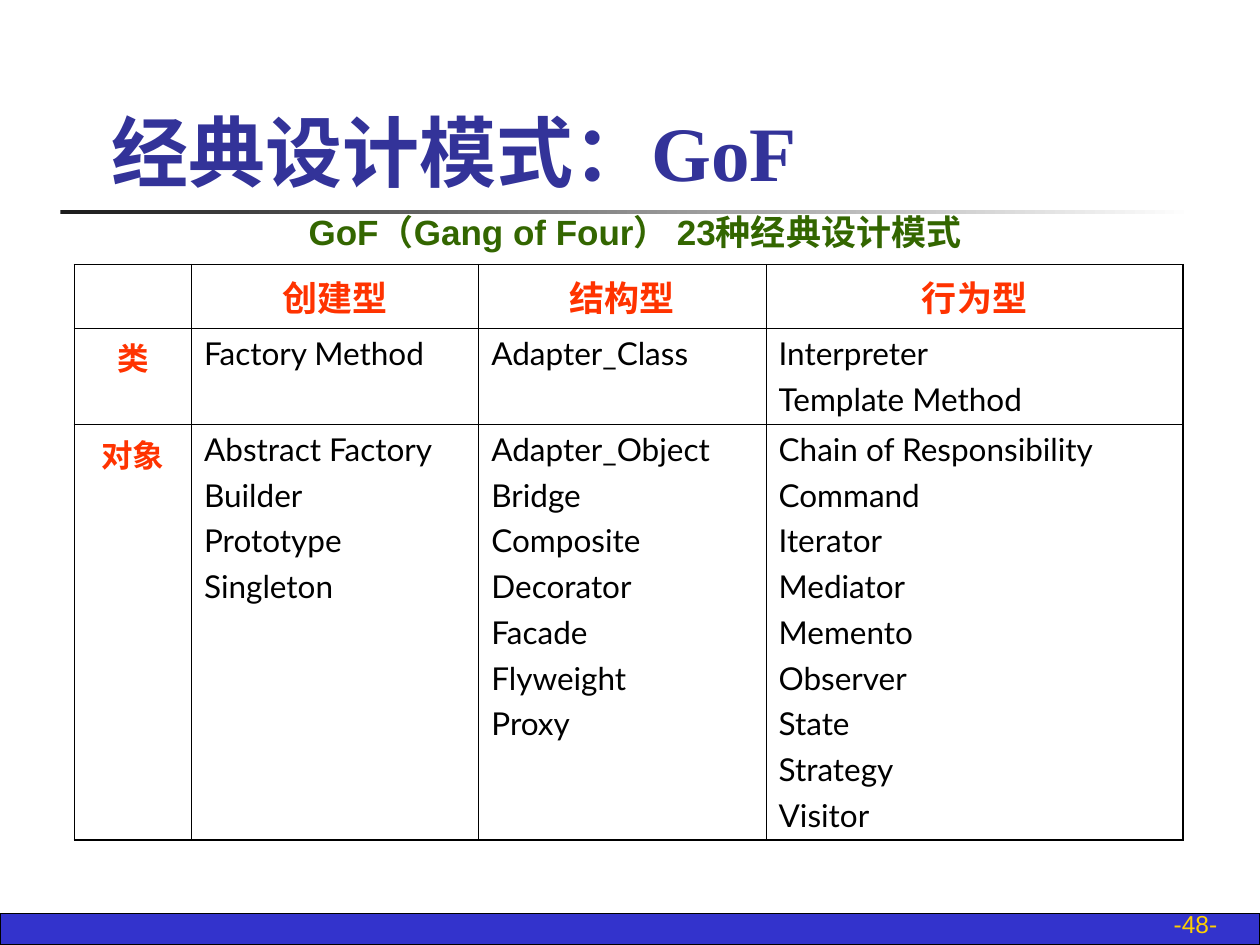
import dataclasses
import typing

import lxml.etree
import pptx
import pptx.dml.color
import pptx.enum.dml
import pptx.enum.shapes
import pptx.enum.text
import pptx.oxml.ns
import pptx.util

Inches = pptx.util.Inches
Pt = pptx.util.Pt
Align = pptx.enum.text.PP_ALIGN
Anchor = pptx.enum.text.MSO_ANCHOR


@dataclasses.dataclass(frozen=True)
class Theme:
    white: str = "FFFFFF"
    black: str = "000000"
    footer: str = "3333CC"
    rule: str = "1C1C1C"
    page_number: str = "FFCF01"
    title: str = "333399"
    subtitle: str = "336600"
    heading: str = "FF3300"
    title_size: float = 44
    heading_size: float = 20
    body_size: float = 18
    number_size: float = 14
    outer_line: float = 1.08
    inner_line: float = 0.45


THEME = Theme()


class Box(typing.NamedTuple):
    left: float
    top: float
    width: float
    height: float

    def lengths(self) -> list[int]:
        return [Inches(value) for value in self]


@dataclasses.dataclass(frozen=True)
class Style:
    font: str
    size: float
    color: str
    bold: bool = False
    align: Align = Align.LEFT
    space_before: float = 0


@dataclasses.dataclass(frozen=True)
class Label:
    text: str
    box: Box
    style: Style
    anchor: Anchor


HEADING = Style("Lato", THEME.heading_size, THEME.heading, True, Align.CENTER, 5)
ROW_HEADING = Style("Lato", THEME.body_size, THEME.heading, True, Align.CENTER, 4.5)
BODY = Style("Lato", THEME.body_size, THEME.black, space_before=4.5)

LABELS = [
    Label("-48-", Box(7.68, 7.17, 2.08, 0.33),
          Style("Arial", THEME.number_size, THEME.page_number, align=Align.RIGHT), Anchor.BOTTOM),
    Label("经典设计模式：GoF", Box(0.79, 0.36, 8.52, 1.25),
          Style("Times New Roman", THEME.title_size, THEME.title, True), Anchor.BOTTOM),
    Label("GoF（Gang of Four） 23种经典设计模式", Box(0.67, 1.62, 8.74, 0.44),
          Style("Arial", THEME.heading_size, THEME.subtitle, True, Align.CENTER, 12.5), Anchor.TOP),
]

TABLE_BOX = Box(0.59, 2.1, 8.8, 4.56)
COLUMN_WIDTHS = [0.93, 2.28, 2.28, 3.31]
ROW_HEIGHTS = [0.5, 0.76, 3.3]
PATTERNS = [
    [[], ["创建型"], ["结构型"], ["行为型"]],
    [["类"], ["Factory Method"], ["Adapter_Class"], ["Interpreter", "Template Method"]],
    [
        ["对象"],
        ["Abstract Factory", "Builder", "Prototype", "Singleton"],
        ["Adapter_Object", "Bridge", "Composite", "Decorator", "Facade", "Flyweight", "Proxy"],
        ["Chain of Responsibility", "Command", "Iterator", "Mediator", "Memento",
         "Observer", "State", "Strategy", "Visitor"],
    ],
]


def rgb(color: str) -> pptx.dml.color.RGBColor:
    return pptx.dml.color.RGBColor.from_string(color)


def set_all(target: typing.Any, values: dict[str, typing.Any]) -> None:
    for name, value in values.items():
        setattr(target, name, value)


def write_lines(frame: typing.Any, lines: list[str], style: Style) -> None:
    for index, line in enumerate(lines):
        para = frame.add_paragraph() if index else frame.paragraphs[0]
        set_all(para, {"alignment": style.align, "space_before": Pt(style.space_before)})
        span = para.add_run()
        span.text = line
        set_all(span.font, {"name": style.font, "size": Pt(style.size), "bold": style.bold})
        span.font.color.rgb = rgb(style.color)


def draw_label(page: typing.Any, label: Label) -> None:
    frame = page.shapes.add_textbox(*label.box.lengths()).text_frame
    set_all(frame, {"word_wrap": True, "vertical_anchor": label.anchor})
    write_lines(frame, [label.text], label.style)


def draw_bar(page: typing.Any, box: Box) -> typing.Any:
    bar = page.shapes.add_shape(pptx.enum.shapes.MSO_SHAPE.RECTANGLE, *box.lengths())
    bar.shadow.inherit = False
    return bar


def draw_footer(page: typing.Any) -> None:
    footer = draw_bar(page, Box(0, 7.25, 10, 0.25))
    footer.fill.solid()
    footer.fill.fore_color.rgb = rgb(THEME.footer)
    footer.line.color.rgb = rgb(THEME.black)
    footer.line.width = Pt(0.75)


def draw_title_rule(page: typing.Any) -> None:
    rule = draw_bar(page, Box(0.48, 1.67, 9, 0.03))
    rule.fill.gradient()
    rule.fill.gradient_angle = 0
    for stop, color, position in zip(rule.fill.gradient_stops, (THEME.rule, THEME.white), (0, 1)):
        stop.color.rgb = rgb(color)
        stop.position = position
    rule.line.fill.background()


def draw_borders(cell: typing.Any, outer_sides: dict[str, bool]) -> None:
    qn = pptx.oxml.ns.qn
    properties = cell._tc.get_or_add_tcPr()
    for side, outer in outer_sides.items():
        width = Pt(THEME.outer_line if outer else THEME.inner_line)
        line = lxml.etree.SubElement(properties, qn(f"a:ln{side}"), w=str(width))
        fill = lxml.etree.SubElement(line, qn("a:solidFill"))
        lxml.etree.SubElement(fill, qn("a:srgbClr"), val=THEME.black)


def cell_style(row: int, column: int) -> Style:
    if row == 0:
        return HEADING
    return BODY if column else ROW_HEADING


def draw_table(page: typing.Any) -> None:
    last_row, last_column = len(ROW_HEIGHTS) - 1, len(COLUMN_WIDTHS) - 1
    table = page.shapes.add_table(last_row + 1, last_column + 1, *TABLE_BOX.lengths()).table
    set_all(table, {"first_row": False, "horz_banding": False})
    for column, width in zip(table.columns, COLUMN_WIDTHS):
        column.width = Inches(width)
    for row, height in zip(table.rows, ROW_HEIGHTS):
        row.height = Inches(height)
    for row, contents in enumerate(PATTERNS):
        for column, lines in enumerate(contents):
            cell = table.cell(row, column)
            draw_borders(cell, {"L": column == 0, "R": column == last_column,
                                "T": row == 0, "B": row == last_row})
            cell.fill.background()
            write_lines(cell.text_frame, lines, cell_style(row, column))


def main() -> None:
    deck = pptx.Presentation()
    set_all(deck, {"slide_width": Inches(10), "slide_height": Inches(7.5)})
    page = deck.slides.add_slide(deck.slide_layouts[6])
    draw_footer(page)
    draw_title_rule(page)
    draw_table(page)
    for label in LABELS:
        draw_label(page, label)
    deck.save("out.pptx")


if __name__ == "__main__":
    main()
